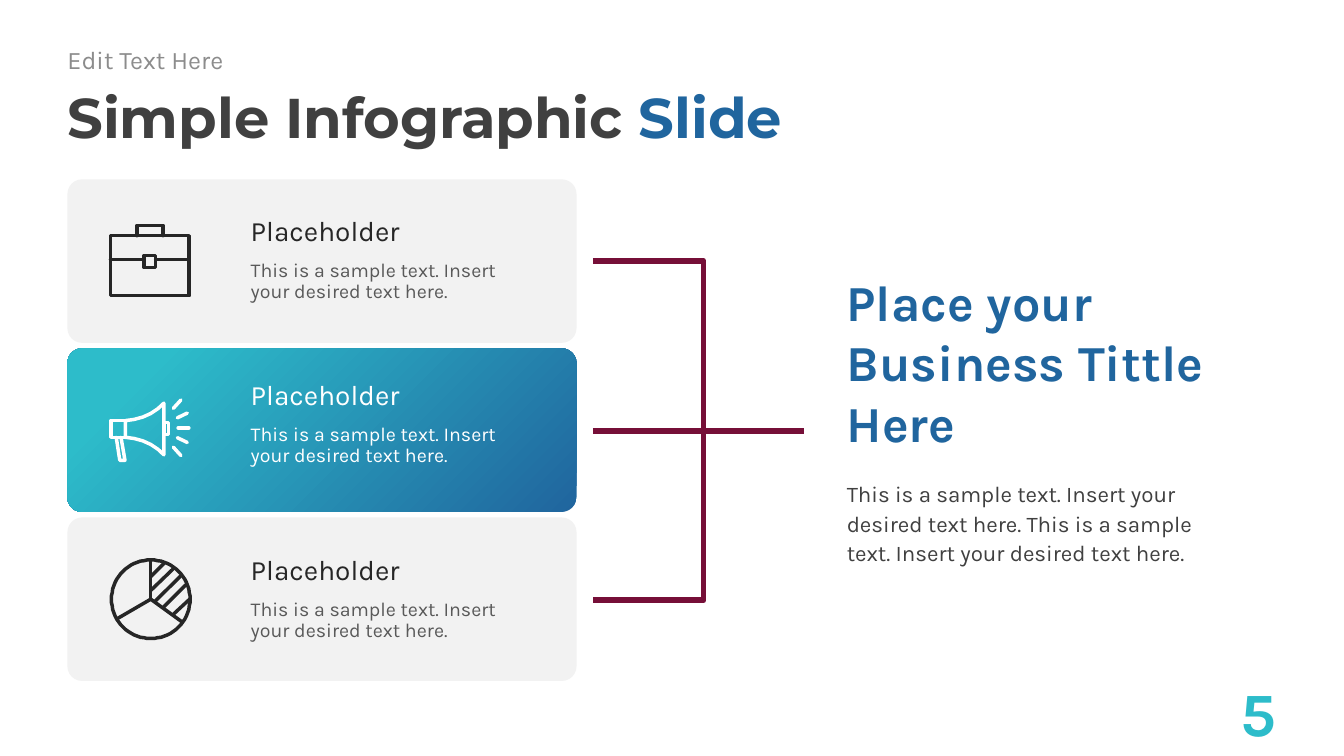
import math
from dataclasses import dataclass

from lxml import etree
from pptx import Presentation
from pptx import util as u
from pptx.dml.color import RGBColor
from pptx.enum import shapes, text
from pptx.oxml.ns import qn


@dataclass(frozen=True)
class Theme:
    blue: str = "20659E"
    teal: str = "2DBCCA"
    wine: str = "760F38"
    pale: str = "F2F2F2"
    white: str = "FFFFFF"
    ink: str = "262626"
    dark: str = "404040"
    mid: str = "595959"
    grey: str = "8C8C8C"
    head: str = "Montserrat"
    body: str = "Karla"
    title: int = 40
    page: int = 44
    claim: int = 36
    label: int = 20
    intro: int = 18
    para: int = 16
    note: int = 14
    rule: float = 4.25
    icon: float = 2.5


TOP, MID, LOW = (text.MSO_ANCHOR.TOP, text.MSO_ANCHOR.MIDDLE,
                 text.MSO_ANCHOR.BOTTOM)


def rgb(tone):
    return RGBColor.from_string(tone)


class Deck:
    def __init__(self, theme):
        self.theme = theme
        self.file = Presentation()
        self.file.slide_width = u.Cm(33.87)
        self.file.slide_height = u.Cm(19.05)
        self.slide = self.file.slides.add_slide(self.file.slide_layouts[5])
        self.items = self.slide.shapes

    def letter(self, shape, runs, size, font=None, bold=False, anchor=TOP,
               pad=0.13, gap=1.0, right=False):
        frame = shape.text_frame
        frame.word_wrap = True
        frame.auto_size = text.MSO_AUTO_SIZE.NONE
        frame.vertical_anchor = anchor
        frame.margin_left = frame.margin_right = 0
        frame.margin_top = frame.margin_bottom = u.Cm(pad)
        para = frame.paragraphs[0]
        para.alignment = text.PP_ALIGN.RIGHT if right else text.PP_ALIGN.LEFT
        para.line_spacing = gap
        for words, tone in runs:
            run = para.add_run()
            run.text = words
            run.font.name = font or self.theme.body
            run.font.size = u.Pt(size)
            run.font.bold = bold
            run.font.color.rgb = rgb(tone)

    def title(self, box, runs):
        shape = self.items.title
        shape.left, shape.top, shape.width, shape.height = map(u.Cm, box)
        self.letter(shape, runs, self.theme.title, self.theme.head, True, MID)

    def label(self, box, words, tone, size, **style):
        shape = self.items.add_textbox(*map(u.Cm, box))
        self.letter(shape, [(words, tone)], size, **style)

    def panel(self, box, tones):
        shape = self.items.add_shape(shapes.MSO_SHAPE.ROUNDED_RECTANGLE,
                                     *map(u.Cm, box))
        shape.adjustments[0] = 0.09
        shape.shadow.inherit = False
        shape.line.fill.background()
        if len(tones) == 1:
            shape.fill.solid()
            shape.fill.fore_color.rgb = rgb(tones[0])
            return
        shape.fill.gradient()
        shape.fill.gradient_angle = 135
        for stop, tone, place in zip(shape.fill.gradient_stops, tones,
                                     (0, 0.85)):
            stop.color.rgb = rgb(tone)
            stop.position = place

    def stroke(self, line, tone, width):
        line.color.rgb = rgb(tone)
        line.width = u.Pt(width)

    def sketch(self, x, y, paths, tone, width, cap="rnd"):
        pen = None
        for points, closed in paths:
            spots = [(round(a * 100), round(b * 100)) for a, b in points]
            if pen is None:
                pen = self.items.build_freeform(*spots[0], scale=u.Cm(0.01))
            else:
                pen.move_to(*spots[0])
            pen.add_line_segments(spots[1:], close=closed)
        shape = pen.convert_to_shape(u.Cm(x), u.Cm(y))
        shape.shadow.inherit = False
        shape.fill.background()
        self.stroke(shape.line, tone, width)
        edge = shape._element.spPr.find(qn("a:ln"))
        edge.set("cap", cap)
        etree.SubElement(edge, qn("a:round"))

    def rule(self, x1, y1, x2, y2, tone):
        line = self.items.add_connector(shapes.MSO_CONNECTOR.STRAIGHT,
                                        *map(u.Cm, (x1, y1, x2, y2)))
        self.stroke(line.line, tone, self.theme.rule)
        etree.SubElement(line._element.spPr, qn("a:effectLst"))


def rect(x1, y1, x2, y2):
    return [(x1, y1), (x2, y1), (x2, y2), (x1, y2)], True


def case():
    return [
        rect(1.08, 1.42, 3.07, 2.93),
        ([(1.75, 1.42), (1.75, 1.16), (2.41, 1.16), (2.41, 1.42)], False),
        rect(1.93, 1.92, 2.22, 2.22),
        ([(1.08, 2.02), (1.93, 2.02)], False),
        ([(2.22, 2.02), (3.07, 2.02)], False),
    ]


def horn():
    axis = 2.03
    bell = [(1.46, 1.82), (1.68, 1.79), (1.9, 1.73), (2.1, 1.64),
            (2.28, 1.52), (2.43, 1.38)]
    under = [(x, 2 * axis - y) for x, y in reversed(bell)]
    rays = [((2.67, 1.51), (2.86, 1.3)), ((2.77, 1.75), (3.02, 1.63))]
    rays += [[(x, 4 - y) for x, y in ray] for ray in rays]
    rays.append(((2.79, 2), (3.06, 2)))
    return [
        rect(1.1, 1.82, 1.46, 2.24),
        (bell + under, True),
        ([(1.23, 2.24), (1.32, 2.82), (1.45, 2.82), (1.35, 2.24)], False),
        rect(2.43, 1.87, 2.55, 2.17),
    ] + [(ray, False) for ray in rays]


def pie():
    x, y, size = 2.1, 2.06, 0.99

    def rim(turn):
        angle = math.radians(turn)
        return x + size * math.cos(angle), y + size * math.sin(angle)

    hatch = [(0, -0.57, 0.33, -0.9), (0, -0.22, 0.56, -0.76),
             (0.11, 0.05, 0.75, -0.58), (0.33, 0.19, 0.88, -0.36),
             (0.58, 0.37, 0.98, 0)]
    paths = [([rim(turn) for turn in range(0, 360, 5)], True)]
    paths += [([(x, y), rim(turn)], False) for turn in (-90, 36, 150)]
    paths += [([(x + a, y + b), (x + c, y + d)], False)
              for a, b, c, d in hatch]
    return paths


def main():
    theme = Theme()
    deck = Deck(theme)
    left = 1.7
    deck.title((left, 1.93, 30.48, 1.98),
               [("Simple Infographic ", theme.dark), ("Slide", theme.blue)])
    deck.label((29.9, 16.33, 2.26, 2.72), "5", theme.teal, theme.page,
               bold=True, anchor=LOW, pad=0.18, right=True)

    bend = [(0, 0), (2.79, 0), (2.79, 8.55), (0, 8.55)]
    deck.sketch(14.94, 6.58, [(bend, False)], theme.wine, theme.rule, "flat")
    deck.rule(14.94, 10.85, 20.27, 10.85, theme.wine)

    deck.label((21.34, 11.91, 9.7, 2.46),
               "This is a sample text. Insert your desired text here. "
               "This is a sample text. Insert your desired text here.",
               theme.dark, theme.para, gap=1.1)
    deck.label((21.34, 6.65, 9.7, 4.88), "Place your Business Tittle Here",
               theme.blue, theme.claim, bold=True, anchor=LOW)

    plain = ((theme.pale,), theme.ink, theme.mid)
    bright = ((theme.blue, theme.teal), theme.white, theme.white)
    cards = [(case, 0.84, plain), (horn, 0.72, bright), (pie, 0.86, plain)]
    for row, (icon, drop, (fill, tone, soft)) in enumerate(cards):
        top = 4.52 + row * 4.26
        deck.panel((left, top, 12.83, 4.12), fill)
        deck.sketch(left, top, icon(), tone, theme.icon)
        deck.label((6.32, top + drop, 6.81, 0.86), "Placeholder", tone,
                   theme.label, anchor=LOW, pad=0)
        deck.label((6.32, top + drop + 1.07, 6.81, 1.35),
                   "This is a sample text. Insert your desired text here.",
                   soft, theme.note, gap=0.9)

    deck.label((left, 0.99, 10.72, 1.02), "Edit Text Here", theme.grey,
               theme.intro, anchor=MID)
    deck.file.save("out.pptx")


if __name__ == "__main__":
    main()
